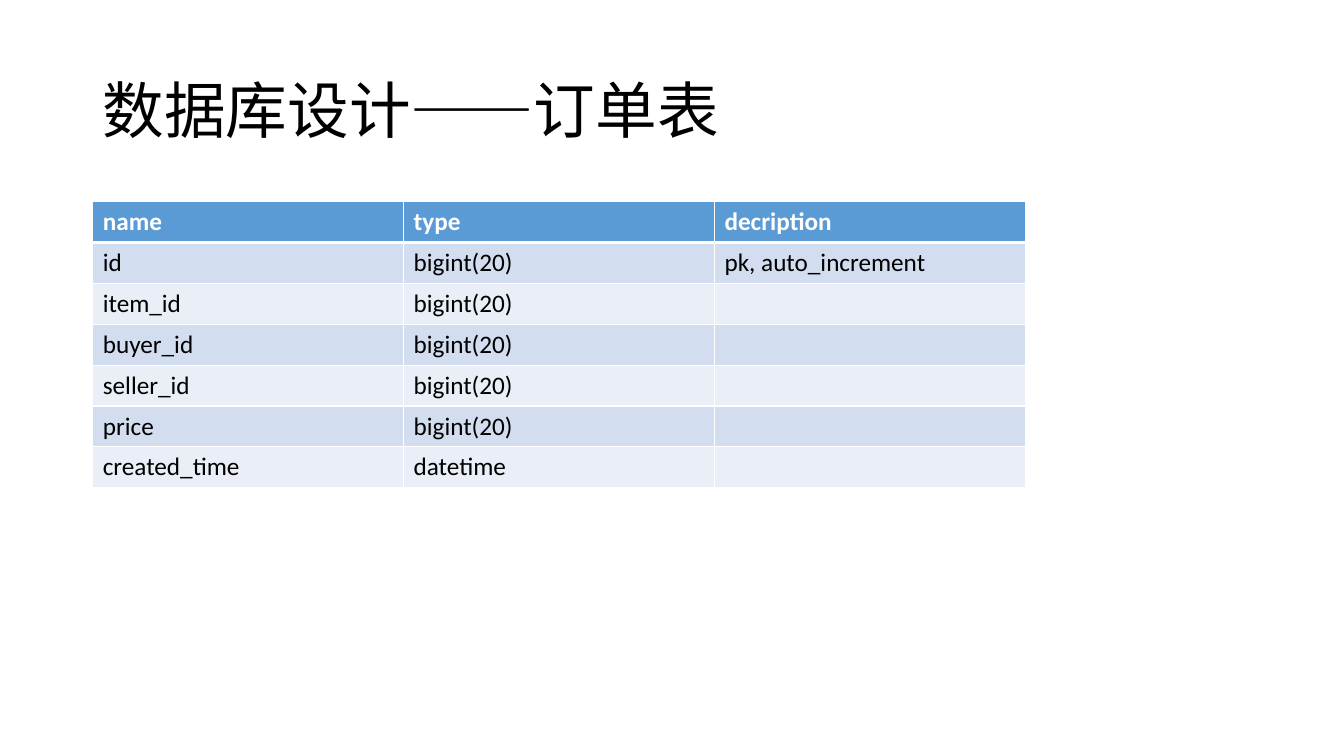
from lxml.etree import SubElement
from pptx import Presentation
from pptx.dml.color import RGBColor
from pptx.enum.text import MSO_ANCHOR
from pptx.oxml.ns import qn
from pptx.util import Inches, Pt

BLACK = RGBColor(0x00, 0x00, 0x00)
WHITE = RGBColor(0xFF, 0xFF, 0xFF)
HEADER = RGBColor(0x5B, 0x9B, 0xD5)
BANDS = [RGBColor(0xEA, 0xEF, 0xF7), RGBColor(0xD2, 0xDE, 0xEF)]
FONT = "Calibri"

ROWS = [
    ("name", "type", "decription"),
    ("id", "bigint(20)", "pk, auto_increment"),
    ("item_id", "bigint(20)", ""),
    ("buyer_id", "bigint(20)", ""),
    ("seller_id", "bigint(20)", ""),
    ("price", "bigint(20)", ""),
    ("created_time", "datetime", ""),
]


def style_font(font, size, color, bold=False):
    font.name = FONT
    font.size = Pt(size)
    font.color.rgb = color
    font.bold = bold


def add_border(cell, side, width):
    ln = SubElement(cell._tc.get_or_add_tcPr(), qn("a:" + side), w=str(Pt(width)))
    fill = SubElement(ln, qn("a:solidFill"))
    SubElement(fill, qn("a:srgbClr"), val=str(WHITE))


prs = Presentation()
prs.slide_width = Inches(13.33)
prs.slide_height = Inches(7.5)
s = prs.slides.add_slide(prs.slide_layouts[6])

title = s.shapes.add_textbox(Inches(0.92), Inches(0.4), Inches(11.5), Inches(1.45))
tf = title.text_frame
tf.word_wrap = True
tf.vertical_anchor = MSO_ANCHOR.MIDDLE
p = tf.paragraphs[0]
p.text = "数据库设计——订单表"
p.line_spacing = 0.9
style_font(p.runs[0].font, 44, BLACK)

table = s.shapes.add_table(
    len(ROWS), len(ROWS[0]), Inches(0.92), Inches(2), Inches(9.25), Inches(2.84)
).table
for i, row in enumerate(ROWS):
    header = i == 0
    for j, text in enumerate(row):
        cell = table.cell(i, j)
        add_border(cell, "lnL", 1)
        add_border(cell, "lnR", 1)
        add_border(cell, "lnT", 3 if i == 1 else 1)
        add_border(cell, "lnB", 3 if header else 1)
        cell.fill.solid()
        cell.fill.fore_color.rgb = HEADER if header else BANDS[i % 2]
        p = cell.text_frame.paragraphs[0]
        p.text = text
        for r in p.runs:
            style_font(r.font, 18, WHITE if header else BLACK, header)

prs.save("out.pptx")
